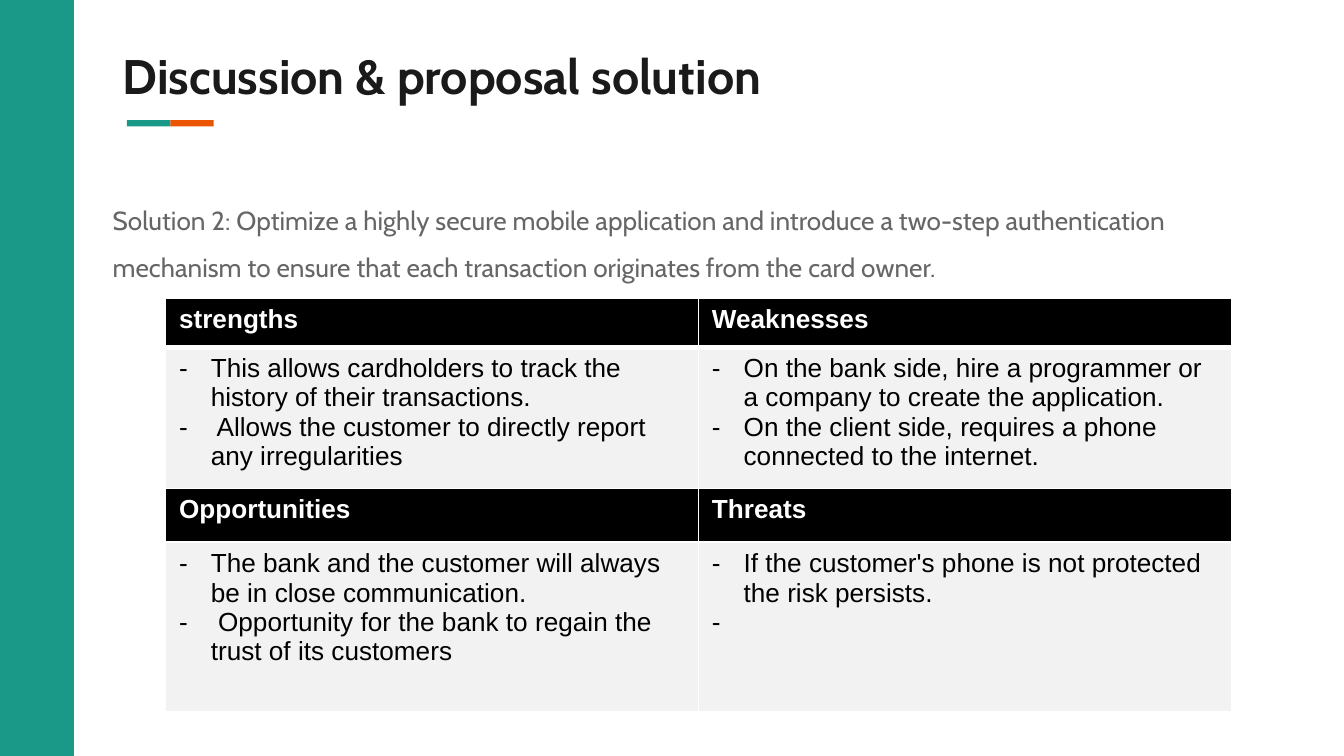
from lxml import etree
from pptx import Presentation
from pptx.dml.color import RGBColor
from pptx.enum.shapes import MSO_SHAPE
from pptx.oxml.ns import qn
from pptx.util import Cm, Pt

RECT = MSO_SHAPE.RECTANGLE
TEAL = RGBColor(0x1A, 0x99, 0x88)
ORANGE = RGBColor(0xEB, 0x55, 0x00)
INK = RGBColor(0x1A, 0x1A, 0x1A)
GREY = RGBColor(0x66, 0x66, 0x66)
PALE = RGBColor(0xF2, 0xF2, 0xF2)
BLACK = RGBColor(0, 0, 0)
WHITE = RGBColor(0xFF, 0xFF, 0xFF)

TITLE = "Discussion & proposal solution"
INTRO = ("Solution 2: Optimize a highly secure mobile application and introduce "
         "a two-step authentication mechanism to ensure that each transaction "
         "originates from the card owner.")
HEADS = [("strengths", "Weaknesses"), ("Opportunities", "Threats")]
POINTS = [
    ([
        "This allows cardholders to track the history of their transactions.",
        " Allows the customer to directly report any irregularities",
    ], [
        "On the bank side, hire a programmer or a company to create the application.",
        "On the client side, requires a phone connected to the internet.",
    ]),
    ([
        "The bank and the customer will always be in close communication.",
        " Opportunity for the bank to regain the trust of its customers",
    ], [
        "If the customer's phone is not protected the risk persists.",
        " ",
    ]),
]
HEIGHTS = [0.93, 2.67, 1.02, 3.21]
WIDTH = 20.14


def add_bar(slide, left, top, width, height, color):
    bar = slide.shapes.add_shape(RECT, Cm(left), Cm(top), Cm(width), Cm(height))
    bar.shadow.inherit = False
    bar.fill.solid()
    bar.fill.fore_color.rgb = color
    bar.line.fill.background()


def add_run(para, text, font, size, color, bold=False):
    run = para.add_run()
    run.text = text
    run.font.name = font
    run.font.size = Pt(size)
    run.font.bold = bold
    run.font.color.rgb = color


def add_text(slide, left, top, width, height, text, size, color, bold, space):
    box = slide.shapes.add_textbox(Cm(left), Cm(top), Cm(width), Cm(height))
    frame = box.text_frame
    frame.word_wrap = True
    frame.margin_left = frame.margin_right = frame.margin_bottom = 0
    frame.margin_top = Cm(0.03)
    para = frame.paragraphs[0]
    para.line_spacing = space
    add_run(para, text, "Cabin", size, color, bold)


def add_dash(para):
    props = para._p.get_or_add_pPr()
    props.set("marL", str(Cm(0.6)))
    props.set("indent", str(-Cm(0.6)))
    tint = etree.SubElement(props, qn("a:buClr"))
    etree.SubElement(tint, qn("a:srgbClr"), val=str(BLACK))
    etree.SubElement(props, qn("a:buFont"), typeface="Arial")
    etree.SubElement(props, qn("a:buChar"), char="-")


def set_edges(cell, base):
    props = cell._tc.get_or_add_tcPr()
    for side, top in (("L", 1), ("R", 1), ("T", base[0]), ("B", base[1])):
        line = etree.SubElement(props, qn("a:ln" + side), w=str(Pt(top)))
        fill = etree.SubElement(line, qn("a:solidFill"))
        etree.SubElement(fill, qn("a:srgbClr"), val=str(WHITE))


def fill_cell(cell, lines, head, edges):
    set_edges(cell, edges)
    cell.fill.solid()
    cell.fill.fore_color.rgb = BLACK if head else PALE
    frame = cell.text_frame
    for i, line in enumerate(lines):
        para = frame.add_paragraph() if i else frame.paragraphs[0]
        if not head:
            add_dash(para)
        add_run(para, line, "Arial", 14, WHITE if head else BLACK, head)


def add_swot(slide):
    frame = slide.shapes.add_table(4, 2, Cm(3.13), Cm(5.63),
                                   Cm(WIDTH), Cm(sum(HEIGHTS)))
    table = frame.table
    for row, height in zip(table.rows, HEIGHTS):
        row.height = Cm(height)
    for i, (heads, points) in enumerate(zip(HEADS, POINTS)):
        top = 2 * i
        for col in range(2):
            first = i == 0
            fill_cell(table.cell(top, col), [heads[col]], True,
                      (1, 3 if first else 1))
            fill_cell(table.cell(top + 1, col), points[col], False,
                      (3 if first else 1, 1))


def main():
    deck = Presentation()
    deck.slide_width, deck.slide_height = Cm(25.4), Cm(14.29)
    slide = deck.slides.add_slide(deck.slide_layouts[6])
    add_bar(slide, 0, 0, 1.4, 14.29, TEAL)
    for i, color in enumerate((TEAL, ORANGE)):
        add_bar(slide, 2.4 + i * 0.82, 2.27, 0.82, 0.12, color)
    add_text(slide, 2.32, 0.84, 13.94, 1.14, TITLE, 26, INK, True, 1.0)
    add_text(slide, 2.13, 3.53, 21.26, 7.14, INTRO, 14, GREY, False, 1.5)
    add_swot(slide)
    deck.save("out.pptx")


if __name__ == "__main__":
    main()
